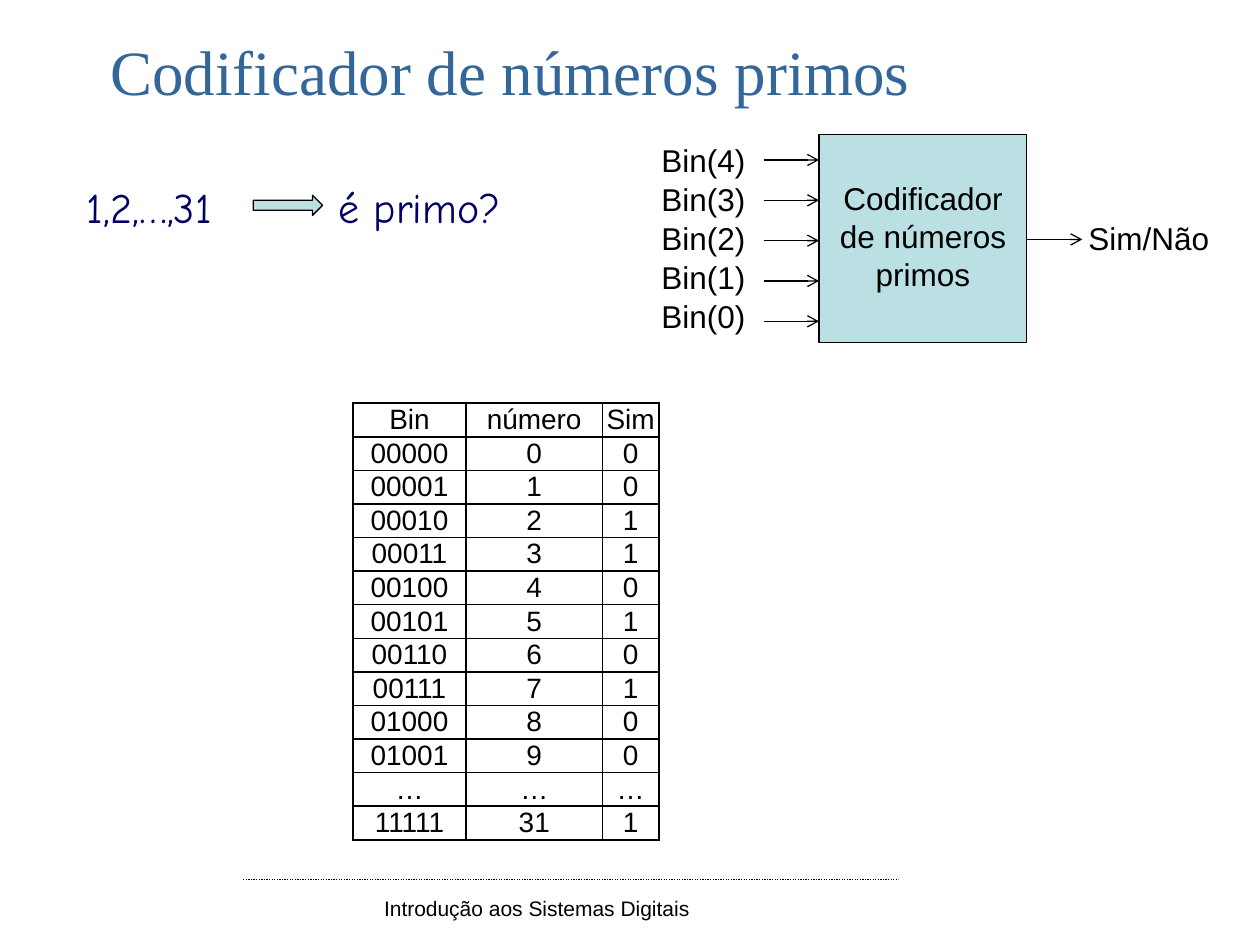
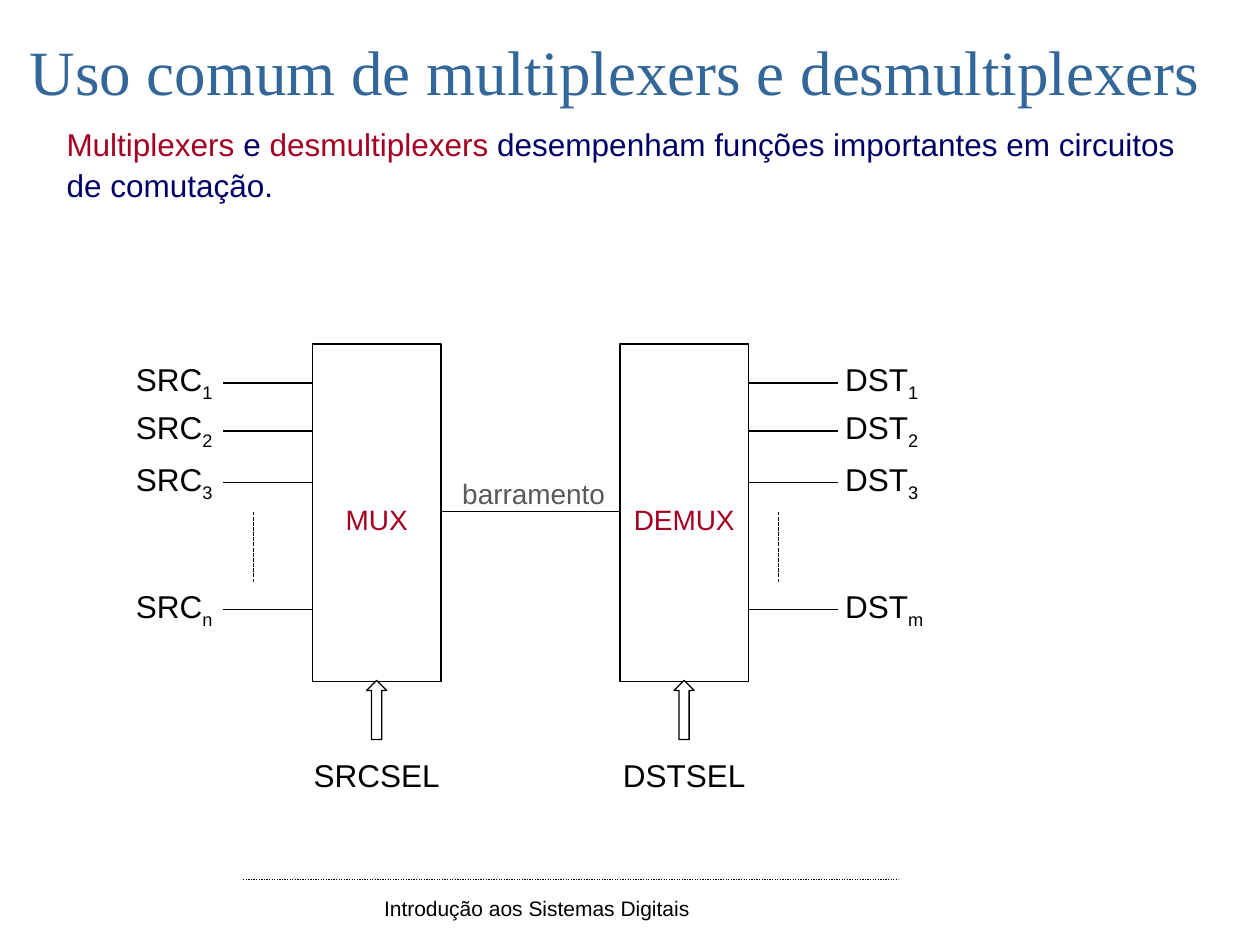
"""Builds two slides on prime encoders and multiplexers."""
from lxml.etree import SubElement
from pptx import Presentation
from pptx.dml.color import RGBColor as RGB
from pptx.enum.dml import MSO_LINE as Dash
from pptx.enum.shapes import MSO_CONNECTOR as Link, MSO_SHAPE as Kind
from pptx.enum.text import MSO_ANCHOR as Anchor, MSO_AUTO_SIZE as Fit, PP_ALIGN as Align
from pptx.oxml import parse_xml
from pptx.oxml.ns import nsdecls, qn
from pptx.util import Inches, Pt

BLACK = RGB(0x00, 0x00, 0x00)
WHITE = RGB(0xFF, 0xFF, 0xFF)
BLUE = RGB(0x33, 0x66, 0x99)
NAVY = RGB(0x00, 0x00, 0x66)
RED = RGB(0xA5, 0x00, 0x21)
TEAL = RGB(0xBB, 0xE0, 0xE3)
GRAY = RGB(0x59, 0x59, 0x59)


def write(frame, text, size=18, color=BLACK, face="Arial", align=Align.LEFT,
          anchor=Anchor.TOP, wrap=False, space=None, sub=""):
    frame.word_wrap = wrap
    frame.auto_size = Fit.NONE
    frame.vertical_anchor = anchor
    para = frame.paragraphs[0]
    para.alignment = align
    if space:
        para.line_spacing = space
    parts = [(text, color)] if isinstance(text, str) else text
    for words, tone in parts + ([(sub, color)] if sub else []):
        run = para.add_run()
        run.text = words
        run.font.size = Pt(size)
        run.font.name = face
        run.font.color.rgb = tone
    if sub:
        run.font._element.set("baseline", "-25000")


class Deck:
    def __init__(self):
        self.show = Presentation()
        self.show.slide_width, self.show.slide_height = Inches(10), Inches(7.5)
        self.slide = None

    def page(self, title, width):
        self.slide = self.show.slides.add_slide(self.show.slide_layouts[5])
        head = self.slide.shapes.title
        head.left, head.top = Inches(0.1), Inches(0.21)
        head.width, head.height = Inches(width), Inches(0.67)
        head.text_frame.margin_left = head.text_frame.margin_right = 0
        write(head.text_frame, title, size=36, color=BLUE,
              face="Times New Roman", align=Align.CENTER)
        self.line(1.93, 6.98, 7.13, 6.98, dash=Dash.ROUND_DOT)
        self.text("Introdução aos Sistemas Digitais", 2.95, 7.06, 2.76, 0.3, size=12)

    def text(self, text, x, y, w, h=0.4, **style):
        box = self.slide.shapes.add_textbox(*map(Inches, (x, y, w, h)))
        write(box.text_frame, text, **style)

    def line(self, x1, y1, x2, y2, dash=None, arrow=False):
        line = self.slide.shapes.add_connector(
            Link.STRAIGHT, *map(Inches, (x1, y1, x2, y2)))
        line.line.color.rgb = BLACK
        line.line.width = Pt(0.75)
        if dash:
            line.line.dash_style = dash
        if arrow:
            SubElement(line.line._get_or_add_ln(), qn("a:tailEnd"), type="arrow")
        SubElement(line._element.spPr, qn("a:effectLst"))

    def shape(self, kind, x, y, w, h, fill=WHITE, text=None, drop=0, **style):
        form = self.slide.shapes.add_shape(kind, *map(Inches, (x, y, w, h)))
        form.shadow.inherit = False
        form.fill.solid()
        form.fill.fore_color.rgb = fill
        form.line.color.rgb = BLACK
        form.line.width = Pt(0.75)
        if text:
            form.text_frame.margin_top = Inches(0.05 + drop)
            write(form.text_frame, text, align=Align.CENTER,
                  anchor=Anchor.MIDDLE, wrap=True, **style)

    def table(self, rows, x, y, widths, height):
        grid = self.slide.shapes.add_table(
            len(rows), len(widths),
            *map(Inches, (x, y, sum(widths), height))).table
        grid.first_row = grid.horz_banding = False
        for col, width in zip(grid.columns, widths):
            col.width = Inches(width)
        for row, words in zip(grid.rows, rows):
            for cell, word in zip(row.cells, words):
                self.cell(cell, word)

    def cell(self, cell, word):
        cell.margin_left = cell.margin_right = 0
        cell.margin_top = cell.margin_bottom = 0
        cell.vertical_anchor = Anchor.MIDDLE
        para = cell.text_frame.paragraphs[0]
        para.alignment = Align.CENTER
        run = para.add_run()
        run.text = word
        run.font.size, run.font.name = Pt(16), "Arial"
        run.font.color.rgb = BLACK
        cell.fill.background()
        for spot, side in enumerate("LRTB"):
            cell._tc.get_or_add_tcPr().insert(spot, parse_xml(
                f'<a:ln{side} {nsdecls("a")} w="12700"><a:solidFill>'
                f'<a:srgbClr val="{BLACK}"/></a:solidFill></a:ln{side}>'))


def primes(deck):
    deck.page("Codificador de números primos", 7.9)
    for text, x, w in (("1,2,…,31", 0.59, 1.19), ("é primo?", 2.59, 1.46)):
        deck.text(text, x, 1.39, w, 0.5, size=24, color=NAVY, face="Comic Neue")
    deck.shape(Kind.RIGHT_ARROW, 2.01, 1.55, 0.55, 0.16, fill=TEAL)

    prime = {2, 3, 5, 7}
    rows = [("Bin", "número", "Sim")]
    rows += [(f"{n:05b}", str(n), str(int(n in prime))) for n in range(10)]
    rows += [("…",) * 3, ("11111", "31", "1")]
    deck.table(rows, 2.8, 3.2, (0.9, 1.08, 0.45), 3.47)

    deck.shape(Kind.RECTANGLE, 6.5, 1.07, 1.65, 1.65, fill=TEAL,
               text="Codificador de números primos", drop=-0.05)
    for i in range(5):
        deck.text(f"Bin({4 - i})", 5.15, 1.07 + 0.31 * i, 0.88)
        wire = 1.27 + 0.32 * i
        deck.line(6.06, wire, 6.5, wire, arrow=True)
    deck.line(8.15, 1.9, 8.59, 1.9, arrow=True)
    deck.text("Sim/Não", 8.54, 1.69, 1.17)


def buses(deck):
    deck.page("Uso comum de multiplexers e desmultiplexers", 9.56)
    deck.text([("Multiplexers", RED), (" e ", NAVY), ("desmultiplexers", RED),
               (" desempenham funções importantes em circuitos de comutação.", NAVY)],
              0.43, 0.91, 9.24, 0.77, wrap=True, space=1.1)
    units = (("MUX", "SRC", "n", 2.48, 1.77, 0.98, 2.01),
             ("DEMUX", "DST", "m", 4.92, 5.94, 6.61, 6.18))
    for name, port, last, left, wire, label, dots in units:
        for sub, y in zip("123" + last, (3.04, 3.42, 3.83, 4.84)):
            deck.line(wire, y, wire + 0.71, y)
            deck.text(port, label, y - 0.23, 0.83, sub=sub)
        deck.line(dots, 4.06, dots, 4.62, dash=Dash.SQUARE_DOT)
        deck.shape(Kind.RECTANGLE, left, 2.73, 1.02, 2.68, text=name,
                   drop=0.1, size=16, color=RED)
        deck.shape(Kind.UP_ARROW, left + 0.43, 5.4, 0.16, 0.47)
        deck.text(port + "SEL", left - 0.09, 5.95, 1.2, align=Align.CENTER)
    deck.line(3.5, 4.06, 4.92, 4.06)
    deck.text("barramento", 3.57, 3.73, 1.35, 0.37, size=16, color=GRAY)


def main():
    deck = Deck()
    primes(deck)
    buses(deck)
    deck.show.save("out.pptx")


if __name__ == "__main__":
    main()
